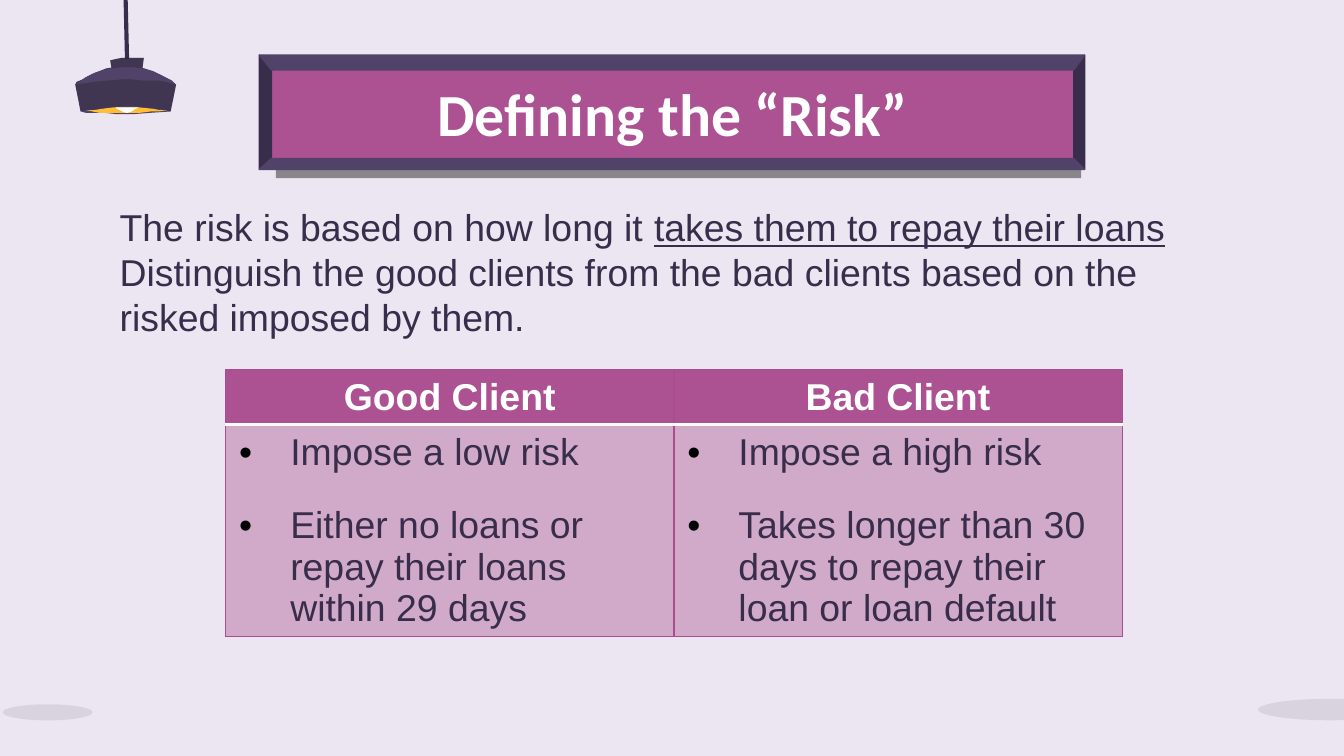
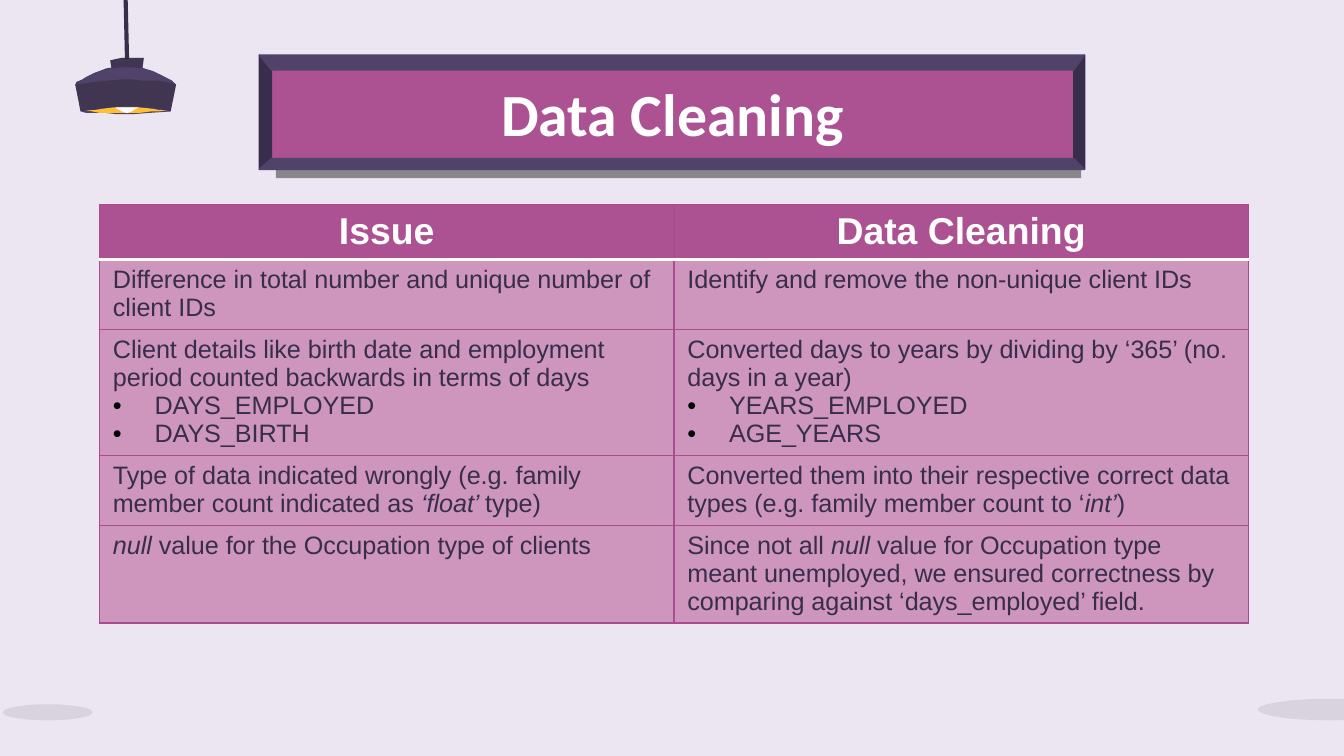
from lxml import etree
from pptx import Presentation
from pptx.dml.color import RGBColor
from pptx.enum import shapes, text
from pptx.oxml import ns
from pptx.util import Inches, Pt

INK = RGBColor(0x38, 0x2D, 0x4B)
PURPLE = RGBColor(0x50, 0x42, 0x68)
MAGENTA = RGBColor(0xAC, 0x51, 0x91)
GRID = RGBColor(0xAA, 0x4D, 0x8F)
PINK = RGBColor(0xCE, 0x96, 0xBD)
LILAC = RGBColor(0xEB, 0xE6, 0xF1)
YELLOW = RGBColor(0xFF, 0xBE, 0x34)
SHADE = RGBColor(0x19, 0x19, 0x19)
BLACK = RGBColor(0, 0, 0)
WHITE = RGBColor(0xFF, 0xFF, 0xFF)

LAMP_BODY = [
    (0.91, 0.5), (0.85, 0.5), (0.79, 0.51), (0.74, 0.53), (0.69, 0.55), (0.65, 0.57),
    (0.62, 0.59), (0.57, 0.61), (0.56, 0.63), (0.6, 0.83), (0.67, 0.82), (0.74, 0.81),
    (0.81, 0.8), (0.93, 0.79), (0.99, 0.79), (1.08, 0.8), (1.16, 0.81), (1.22, 0.82),
    (1.27, 0.83), (1.31, 0.63), (1.27, 0.6), (1.2, 0.56), (1.13, 0.53), (1.07, 0.51),
    (1.03, 0.5)]
LAMP_RIM = [
    (0.93, 0.79), (0.87, 0.79), (0.74, 0.8), (0.67, 0.82), (0.6, 0.83), (0.64, 0.84),
    (0.78, 0.84), (0.87, 0.85), (0.99, 0.85), (1.12, 0.84), (1.27, 0.83), (1.22, 0.82),
    (1.13, 0.8), (1.04, 0.79)]
LAMP_GLOW = [
    (0.94, 0.8), (0.84, 0.8), (0.76, 0.81), (0.7, 0.82), (0.65, 0.82), (0.69, 0.83),
    (0.74, 0.84), (1.04, 0.84), (1.12, 0.83), (1.18, 0.83), (1.24, 0.82), (1.19, 0.82),
    (1.14, 0.81), (1.04, 0.8)]
LAMP_NECK = [
    (0.95, 0.43), (0.91, 0.43), (0.86, 0.44), (0.82, 0.45), (0.83, 0.51), (0.91, 0.5),
    (0.99, 0.5), (1.06, 0.51), (1.07, 0.43)]
LAMP_CORD = [(0.93, 0), (0.94, 0.43), (0.95, 0.43), (0.94, 0)]
LAMP_BULB = [
    (0.92, 0.8), (0.86, 0.8), (0.87, 0.81), (0.91, 0.83), (0.94, 0.84), (0.95, 0.84),
    (0.98, 0.83), (1.01, 0.81), (1.03, 0.8)]
LAMP_TOP = [
    (0.92, 0.5), (0.85, 0.5), (0.78, 0.52), (0.71, 0.54), (0.63, 0.58), (0.56, 0.63),
    (0.7, 0.61), (0.8, 0.6), (0.92, 0.59), (0.98, 0.59), (1.05, 0.6), (1.18, 0.6),
    (1.24, 0.61), (1.31, 0.63), (1.28, 0.6), (1.22, 0.57), (1.14, 0.53), (1.04, 0.5)]

RISK_TABLE = [
    ["Good Client", "Bad Client"],
    [["• Impose a low risk",
      "• Either no loans or repay their loans within 29 days"],
     ["• Impose a high risk",
      "• Takes longer than 30 days to repay their loan or loan default"]]]
CLEANING_TABLE = [
    ["Issue", "Data Cleaning"],
    [["Difference in total number and unique number of client IDs"],
     ["Identify and remove the non-unique client IDs"]],
    [["Client details like birth date and employment period counted backwards "
      "in terms of days", "• DAYS_EMPLOYED", "• DAYS_BIRTH"],
     ["Converted days to years by dividing by ‘365’ (no. days in a year)",
      "• YEARS_EMPLOYED", "• AGE_YEARS"]],
    [["Type of data indicated wrongly (e.g. family member count indicated as "
      "*‘float’ *type)"],
     ["Converted them into their respective correct data types "
      "(e.g. family member count to ‘*int’*)"]],
    [["*null *value for the Occupation type of clients"],
     ["Since not all *null* value for Occupation type meant unemployed, we ensured "
      "correctness by comparing against ‘days_employed’ field."]]]


def add_xml(parent, tag, **attrs):
    el = etree.SubElement(parent, ns.qn(tag))
    for name, value in attrs.items():
        el.set(name, str(value))
    return el


def set_alpha(el, percent):
    color = next(el.iter(ns.qn("a:srgbClr")))
    add_xml(color, "a:alpha", val=percent * 1000)


def paint(sp, color, alpha=None, line=None, width=0.75):
    sp.shadow.inherit = False
    sp.fill.solid()
    sp.fill.fore_color.rgb = color
    if alpha:
        set_alpha(sp._element.spPr, alpha)
    if line is None:
        sp.line.fill.background()
    else:
        sp.line.color.rgb = line
        sp.line.width = Pt(width)


def add_outline(group, points, color, **style):
    points = [(Inches(x), Inches(y)) for x, y in points]
    builder = group.shapes.build_freeform(*points[0], scale=1.0)
    builder.add_line_segments(points[1:], close=True)
    sp = builder.convert_to_shape()
    paint(sp, color, **style)
    return sp


def add_lamp(s):
    lamp = s.shapes.add_group_shape()
    add_outline(lamp, LAMP_BODY, PURPLE)
    add_outline(lamp, LAMP_RIM, PURPLE)
    add_outline(lamp, LAMP_GLOW, YELLOW)
    add_outline(lamp, LAMP_NECK, PURPLE)
    add_outline(lamp, LAMP_CORD, INK, line=INK, width=1.5)
    add_outline(lamp, LAMP_BULB, WHITE)
    add_outline(lamp, LAMP_BODY, SHADE, alpha=27)
    add_outline(lamp, LAMP_TOP, PURPLE)
    add_outline(lamp, LAMP_NECK, SHADE, alpha=27)


def add_floor_shadow(s, *box):
    sp = s.shapes.add_shape(shapes.MSO_SHAPE.OVAL, *map(Inches, box))
    paint(sp, BLACK, alpha=8)


def add_title_frame(s):
    left, top, right, bottom = 1.93, 0.41, 8.07, 1.26
    x1, y1, x2, y2 = 2.02, 0.52, 7.99, 1.18
    frame = s.shapes.add_group_shape()
    panel = add_outline(frame, [(2, 0.51), (2, y2), (x2, y2), (x2, 0.51)], MAGENTA)
    effects = panel._element.spPr.find(ns.qn("a:effectLst"))
    shadow = add_xml(effects, "a:outerShdw", blurRad=0, dist=Pt(11.2),
                     dir=70 * 60000, algn="tl", rotWithShape=0)
    add_xml(shadow, "a:srgbClr", val=BLACK)
    set_alpha(shadow, 41)
    outer = [(left, top), (left, bottom), (right, bottom), (right, top)]
    inner = [(x1, y1), (x1, y2), (x2, y2), (x2, y1)]
    for side, color in ((0, INK), (2, INK), (1, PURPLE), (3, PURPLE)):
        end = (side + 1) % 4
        bevel = [outer[side], outer[end], inner[end], inner[side]]
        add_outline(frame, bevel, color, line=color)


def place(sp, *box):
    sp.left, sp.top, sp.width, sp.height = map(Inches, box)
    tf = sp.text_frame
    tf.margin_left = tf.margin_right = tf.margin_top = tf.margin_bottom = Inches(0.1)
    tf.word_wrap = True
    tf.auto_size = text.MSO_AUTO_SIZE.NONE
    sp._element.getparent().append(sp._element)
    return tf


def style_font(font, size, color, bold=False, name="Arial"):
    font.name = name
    font.size = Pt(size)
    font.bold = bold
    font.color.rgb = color


def write_runs(p, marked, size, color, emphasis="italic"):
    for i, part in enumerate(marked.split("*")):
        if part:
            r = p.add_run()
            r.text = part
            style_font(r.font, size, color)
            if i % 2:
                setattr(r.font, emphasis, True)


def set_indent(p, inches):
    pPr = p._p.get_or_add_pPr()
    pPr.set("marL", str(Inches(inches)))
    pPr.set("indent", str(-Inches(inches)))
    return pPr


def add_bullet(p, indent):
    pPr = set_indent(p, indent)
    add_xml(add_xml(pPr, "a:buClr"), "a:srgbClr", val=BLACK)
    add_xml(pPr, "a:buFont", typeface="Arial")
    add_xml(pPr, "a:buChar", char="•")


def add_slide(prs, layout, title):
    s = prs.slides.add_slide(prs.slide_layouts[layout])
    add_lamp(s)
    add_floor_shadow(s, 0.02, 5.24, 0.67, 0.12)
    add_floor_shadow(s, 9.36, 5.2, 1.07, 0.16)
    add_title_frame(s)
    tf = place(s.shapes.title, 0.79, 0.59, 8.43, 0.5)
    tf.vertical_anchor = text.MSO_ANCHOR.MIDDLE
    tf.text = title
    p = tf.paragraphs[0]
    p.alignment = text.PP_ALIGN.CENTER
    style_font(p.runs[0].font, 32, WHITE, True, "Calibri")
    return s


def add_body(s, lines):
    tf = place(s.placeholders[1], 0.79, 1.42, 8.43, 1.05)
    for i, line in enumerate(lines):
        p = tf.add_paragraph() if i else tf.paragraphs[0]
        add_xml(set_indent(p, 0), "a:buNone")
        p.space_before = Pt(0)
        p.line_spacing = 1.0
        write_runs(p, line, 20, INK, "underline")


def set_borders(cell, row):
    tcPr = cell._tc.get_or_add_tcPr()
    white_side = {0: "B", 1: "T"}.get(row)
    for i, side in enumerate("LRTB"):
        color, width = (WHITE, 2) if side == white_side else (GRID, 0.75)
        ln = add_xml(tcPr, "a:ln" + side, w=Pt(width))
        add_xml(add_xml(ln, "a:solidFill"), "a:srgbClr", val=color)
        tcPr.insert(i, ln)


def fill_cell(cell, color, alpha=None):
    cell.fill.solid()
    cell.fill.fore_color.rgb = color
    if alpha:
        set_alpha(cell._tc.tcPr, alpha)


def write_header(cell, label):
    cell.text = label
    p = cell.text_frame.paragraphs[0]
    p.alignment = text.PP_ALIGN.CENTER
    style_font(p.runs[0].font, 20, WHITE, True)


def write_cell(cell, lines, size, indent, gap):
    tf = cell.text_frame
    for i, line in enumerate(lines):
        p = tf.add_paragraph() if i else tf.paragraphs[0]
        if i and gap:
            p.space_before = Pt(gap)
        if line.startswith("• "):
            add_bullet(p, indent)
        write_runs(p, line.removeprefix("• "), size, INK)


def add_grid(s, rows, left, top, width, heights, size, indent, fill, alpha=None, gap=0):
    frame = s.shapes.add_table(len(rows), len(rows[0]), Inches(left), Inches(top),
                               Inches(width), Inches(sum(heights)))
    table = frame.table
    table.horz_banding = False
    for i, row in enumerate(rows):
        table.rows[i].height = Inches(heights[i])
        for j, content in enumerate(row):
            cell = table.cell(i, j)
            if i == 0:
                write_header(cell, content)
                fill_cell(cell, MAGENTA)
            else:
                write_cell(cell, content, size, indent, gap)
                fill_cell(cell, fill, alpha)
            set_borders(cell, i)


def main():
    prs = Presentation()
    prs.slide_width = Inches(10)
    prs.slide_height = prs.slide_width * 9 // 16
    background = prs.slide_master.background.fill
    background.solid()
    background.fore_color.rgb = LILAC

    s = add_slide(prs, 1, "Defining the “Risk”")
    add_body(s, [
        "The risk is based on how long it *takes them to repay their loans*",
        "Distinguish the good clients from the bad clients based on the risked "
        "imposed by them."])
    add_grid(s, RISK_TABLE, 1.68, 2.75, 6.67, [0.41, 1.57], 20, 0.38,
             MAGENTA, alpha=40, gap=17)

    s = add_slide(prs, 5, "Data Cleaning")
    add_grid(s, CLEANING_TABLE, 0.74, 1.52, 8.55, [0.41, 0.52, 0.94, 0.52, 0.72],
             13.5, 0.31, PINK)
    prs.save("out.pptx")


if __name__ == "__main__":
    main()
